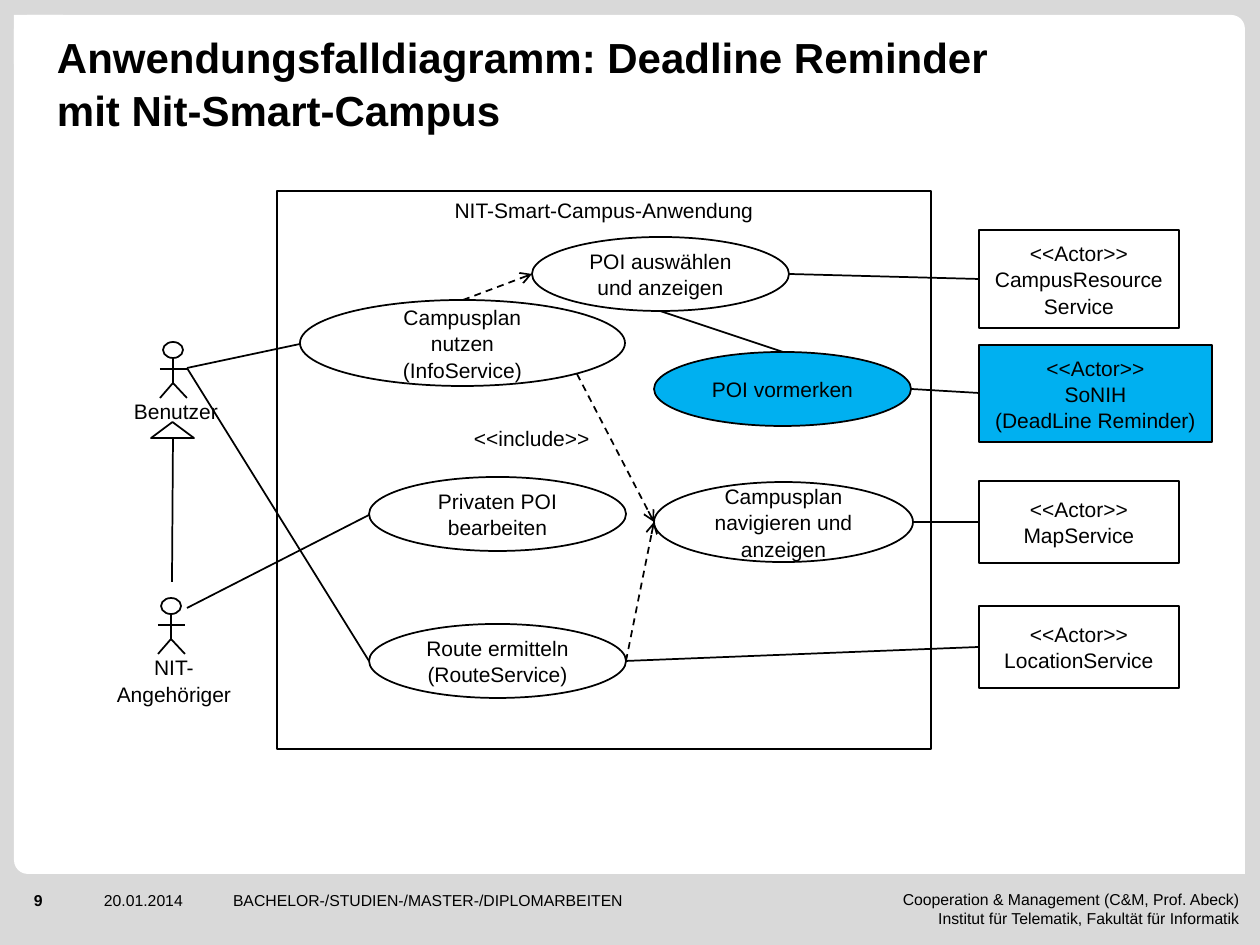
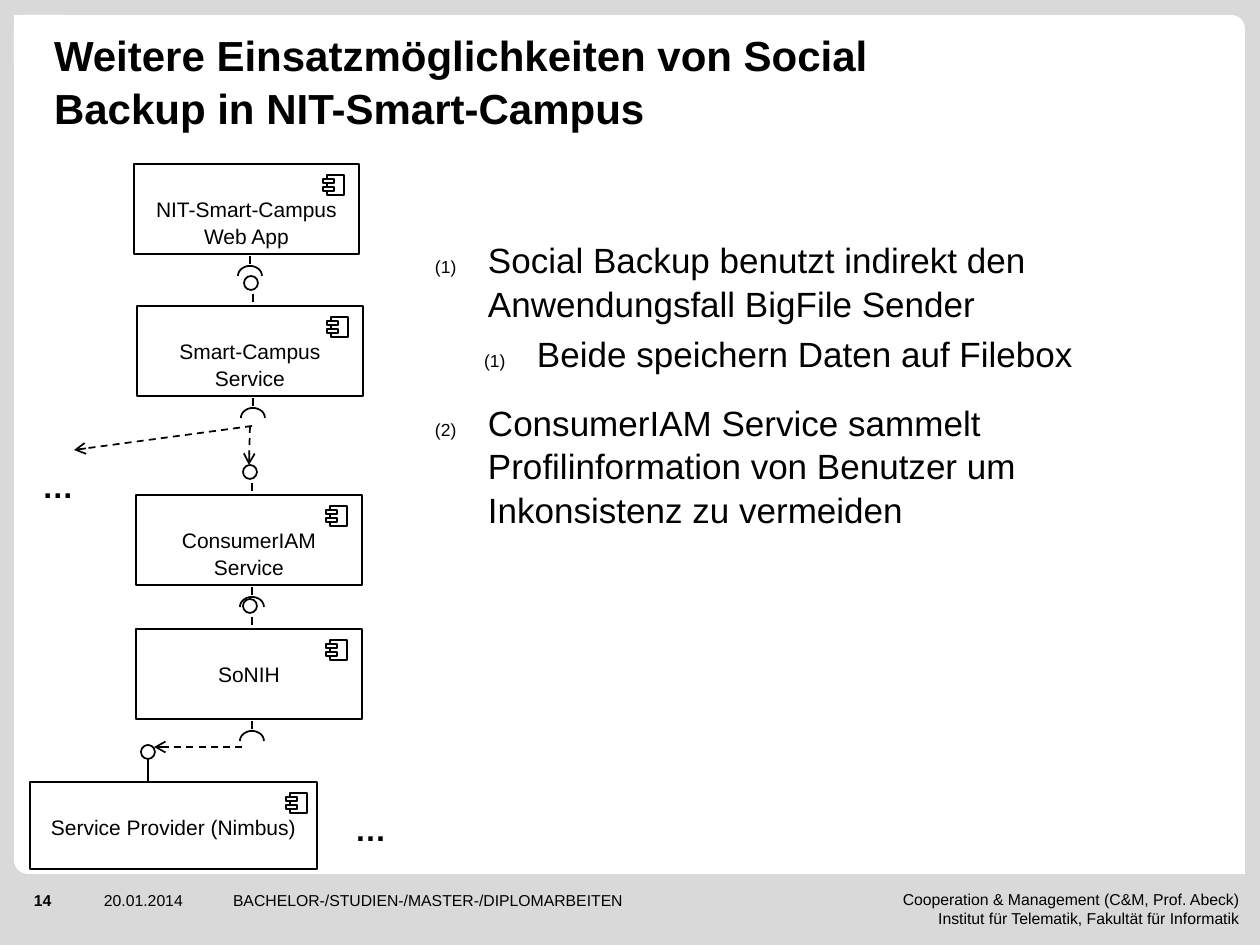
from dataclasses import dataclass
from math import cos, pi, sin
from typing import Any, NamedTuple, Optional

from lxml.etree import SubElement
from pptx import Presentation
from pptx.dml.color import RGBColor
from pptx.enum.dml import MSO_LINE
from pptx.enum.shapes import MSO_CONNECTOR, MSO_SHAPE
from pptx.enum.text import MSO_ANCHOR, MSO_AUTO_SIZE, PP_ALIGN
from pptx.oxml.ns import qn
from pptx.util import Emu, Pt

EMU_PER_PX = 914400 / 126


@dataclass(frozen=True)
class Theme:
    font: str = "Arial"
    black: RGBColor = RGBColor(0, 0, 0)
    white: RGBColor = RGBColor(255, 255, 255)
    band: RGBColor = RGBColor(0xD9, 0xD9, 0xD9)
    accent: RGBColor = RGBColor(0x00, 0xB0, 0xF0)
    title: int = 24
    body: int = 20
    ellipsis: int = 18
    diagram: int = 12
    footer: int = 9
    line_width: int = 1
    line_spacing: float = 1.04


THEME = Theme()


class Area(NamedTuple):
    x: int
    y: int
    w: int
    h: int


class Node(NamedTuple):
    area: Area
    lines: list[str]
    fill: Optional[RGBColor] = THEME.white


class Link(NamedTuple):
    x1: int
    y1: int
    x2: int
    y2: int
    dashed_arrow: bool = False


class Actor(NamedTuple):
    x: int
    y: int
    lines: list[str]


class Component(NamedTuple):
    area: Area
    lines: list[str]
    ball: bool = False
    socket: bool = False
    icon_from_right: int = 32


class Bullet(NamedTuple):
    text: str
    level: int
    indent: int
    space_before: int


SYSTEM_FRAME = Node(Area(277, 191, 654, 558), ["NIT-Smart-Campus-Anwendung"], None)
USE_CASES = [
    Node(Area(300, 300, 325, 86), ["Campusplan", "nutzen", "(InfoService)"]),
    Node(Area(369, 624, 257, 74), ["Route ermitteln", "(RouteService)"]),
    Node(Area(654, 482, 259, 80), ["Campusplan", "navigieren und anzeigen"]),
    Node(Area(369, 477, 257, 74), ["Privaten POI", "bearbeiten"]),
    Node(Area(532, 237, 257, 74), ["POI auswählen", "und anzeigen"]),
    Node(Area(654, 352, 257, 74), ["POI vormerken"], THEME.accent),
]
SERVICES = [
    Node(Area(979, 230, 200, 98), ["<<Actor>>", "CampusResource", "Service"], None),
    Node(Area(979, 345, 233, 97), ["<<Actor>>", "SoNIH", "(DeadLine Reminder)"], THEME.accent),
    Node(Area(979, 481, 200, 82), ["<<Actor>>", "MapService"], None),
    Node(Area(979, 606, 200, 82), ["<<Actor>>", "LocationService"], None),
]
ACTORS = [Actor(173, 342, ["Benutzer"]), Actor(171, 598, ["NIT-", "Angehöriger"])]
USE_CASE_LINKS = [
    Link(187, 368, 300, 344), Link(187, 368, 369, 661), Link(187, 608, 369, 515),
    Link(173, 438, 172, 582), Link(913, 522, 979, 522), Link(626, 661, 979, 647),
    Link(979, 279, 789, 274), Link(783, 352, 660, 311), Link(979, 393, 911, 389),
    Link(626, 661, 654, 522, True), Link(577, 374, 654, 522, True),
    Link(463, 300, 532, 274, True),
]

COMPONENTS = [
    Component(Area(134, 164, 225, 90), ["NIT-Smart-Campus", "Web App"], socket=True),
    Component(Area(137, 306, 226, 90), ["Smart-Campus", "Service"], True, True),
    Component(Area(136, 495, 226, 90), ["ConsumerIAM", "Service"], True, True),
    Component(Area(136, 629, 226, 90), ["SoNIH"], True, True),
    Component(Area(30, 782, 287, 87), ["Service Provider (Nimbus)"], icon_from_right=27),
]
COMPONENT_LINKS = [
    Link(148, 759, 148, 782), Link(242, 747, 154, 747, True),
    Link(252, 426, 74, 450, True), Link(250, 426, 249, 465, True),
]
BULLETS = [
    Bullet("Social Backup benutzt indirekt den Anwendungsfall BigFile Sender", 0, 53, 0),
    Bullet("Beide speichern Daten auf Filebox", 1, 102, 4),
    Bullet("ConsumerIAM Service sammelt Profilinformation von Benutzer um "
           "Inkonsistenz zu vermeiden", 0, 53, 14),
]


def px(length: float) -> Emu:
    return Emu(round(length * EMU_PER_PX))


def apply(target: Any, values: dict[str, Any]) -> None:
    for name, value in values.items():
        setattr(target, name, value)


def place(shape: Any, area: Area) -> None:
    apply(shape, dict(zip(("left", "top", "width", "height"), map(px, area))))


def write(shape: Any, lines: list[str], size: int, bold: bool = False,
          align: PP_ALIGN = PP_ALIGN.LEFT, anchor: MSO_ANCHOR = MSO_ANCHOR.TOP,
          wrap: bool = True, insets: tuple[int, int, int, int] = (0, 0, 0, 0),
          spacing: float = THEME.line_spacing) -> None:
    """Fill a shape with one paragraph per line; insets are left, top, right, bottom."""
    frame = shape.text_frame
    sides = ("margin_left", "margin_top", "margin_right", "margin_bottom")
    apply(frame, {"auto_size": MSO_AUTO_SIZE.NONE, "word_wrap": wrap,
                  "vertical_anchor": anchor, **dict(zip(sides, map(px, insets)))})
    for index, line in enumerate(lines):
        para = frame.add_paragraph() if index else frame.paragraphs[0]
        apply(para, {"alignment": align, "line_spacing": spacing})
        span = para.add_run()
        span.text = line
        apply(span.font, {"name": THEME.font, "size": Pt(size), "bold": bold})
        span.font.color.rgb = THEME.black


def add_text(page: Any, area: Area, lines: list[str], size: int, **options: Any) -> None:
    write(page.shapes.add_textbox(*map(px, area)), lines, size, **options)


def paint(shape: Any, fill: Optional[RGBColor], outlined: bool = True) -> None:
    shape.shadow.inherit = False
    if fill is None:
        shape.fill.background()
    else:
        shape.fill.solid()
        shape.fill.fore_color.rgb = fill
    if outlined:
        shape.line.color.rgb = THEME.black
        shape.line.width = Pt(THEME.line_width)
    else:
        shape.line.fill.background()


def add_box(page: Any, kind: MSO_SHAPE, area: Area,
            fill: Optional[RGBColor] = THEME.white, outlined: bool = True) -> Any:
    box = page.shapes.add_shape(kind, *map(px, area))
    paint(box, fill, outlined)
    return box


def add_node(page: Any, kind: MSO_SHAPE, node: Node,
             anchor: MSO_ANCHOR = MSO_ANCHOR.MIDDLE, wrap: bool = True) -> None:
    write(add_box(page, kind, node.area, node.fill), node.lines, THEME.diagram,
          align=PP_ALIGN.CENTER, anchor=anchor, wrap=wrap, insets=(12, 6, 12, 6))


def add_link(page: Any, link: Link) -> None:
    connector = page.shapes.add_connector(MSO_CONNECTOR.STRAIGHT, *map(px, link[:4]))
    connector.line.color.rgb = THEME.black
    connector.line.width = Pt(THEME.line_width)
    properties = connector.element.spPr
    if link.dashed_arrow:
        connector.line.dash_style = MSO_LINE.DASH
        SubElement(properties.find(qn("a:ln")), qn("a:tailEnd"), type="arrow")
    SubElement(properties, qn("a:effectLst"))


def add_actor(page: Any, actor: Actor) -> None:
    x, y = actor.x, actor.y
    hip, foot, arm = y + 41, y + 56, y + 27
    for limb in (Link(x, y + 16, x, hip), Link(x, hip, x + 14, foot),
                 Link(x, hip, x - 13, foot), Link(x - 13, arm, x + 14, arm)):
        add_link(page, limb)
    add_box(page, MSO_SHAPE.OVAL, Area(x - 10, y, 20, 16))
    add_text(page, Area(x - 67, y + 50, 140, 26 * len(actor.lines) + 12), actor.lines,
             THEME.diagram, align=PP_ALIGN.CENTER, wrap=False, insets=(12, 6, 12, 6))


def add_ball(page: Any, x: int, y: int) -> None:
    add_box(page, MSO_SHAPE.OVAL, Area(x, y, 14, 14))


def add_socket(page: Any, x: int, y: int) -> None:
    """Draw a half ring that opens downwards, with its apex at x, y."""
    steps, half_width, height = 16, 12, 10
    angles = [pi * (1 - step / steps) for step in range(steps + 1)]
    points = [(px(x + half_width * cos(a)), px(y + height * (1 - sin(a)))) for a in angles]
    builder = page.shapes.build_freeform(*points[0])
    builder.add_line_segments(points[1:], close=False)
    paint(builder.convert_to_shape(), None)


def add_component(page: Any, part: Component) -> None:
    x, y, w, h = part.area
    write(add_box(page, MSO_SHAPE.RECTANGLE, part.area, None), part.lines, THEME.diagram,
          align=PP_ALIGN.CENTER, wrap=False, insets=(12, 32, 12, 6))
    icon = x + w - part.icon_from_right
    add_box(page, MSO_SHAPE.RECTANGLE, Area(icon, y + 11, 17, 20))
    for tooth in (23, 15):
        add_box(page, MSO_SHAPE.RECTANGLE, Area(icon - 4, y + tooth, 11, 4))
    port, bottom = x + 116, y + h
    if part.socket:
        add_link(page, Link(port, bottom + 10, port, bottom + 2))
        add_socket(page, port, bottom + 12)
    if part.ball:
        add_ball(page, port - 9, y - 30)
        add_link(page, Link(port, y - 12, port, y - 4))


def add_page(deck: Any, layout: int, number: int, title: str, title_area: Area) -> Any:
    """Start a slide with the white card, the title and the footer line."""
    page = deck.slides.add_slide(deck.slide_layouts[layout])
    heading = page.shapes.title
    card = add_box(page, MSO_SHAPE.ROUNDED_RECTANGLE, Area(14, 15, 1231, 859), outlined=False)
    card.adjustments[0] = 0.016
    corners = [add_box(page, MSO_SHAPE.RECTANGLE, Area(x, y, 49, 49), outlined=False)
               for x, y in ((14, 15), (1196, 825))]
    for part in (card, *corners):
        heading.element.addprevious(part.element)
    place(heading, title_area)
    write(heading, [title], THEME.title, bold=True, anchor=MSO_ANCHOR.MIDDLE)
    add_text(page, Area(828, 890, 411, 49),
             ["Cooperation & Management (C&M, Prof. Abeck)",
              "Institut für Telematik, Fakultät für Informatik"],
             THEME.footer, align=PP_ALIGN.RIGHT, spacing=1.0)
    add_text(page, Area(34, 890, 45, 30), [str(number)], THEME.footer, bold=True)
    add_text(page, Area(104, 890, 112, 30), ["20.01.2014"], THEME.footer)
    add_text(page, Area(233, 890, 576, 49),
             ["BACHELOR-/STUDIEN-/MASTER-/DIPLOMARBEITEN"], THEME.footer)
    return page


def number_bullet(para: Any, bullet: Bullet) -> None:
    apply(para, {"level": bullet.level, "space_before": Pt(bullet.space_before)})
    properties = para._p.get_or_add_pPr()
    apply_margins = {"marL": px(bullet.indent), "indent": px(-53)}
    for name, value in apply_margins.items():
        properties.set(name, str(value))
    color = SubElement(properties, qn("a:buClr"))
    SubElement(color, qn("a:srgbClr"), val=str(THEME.black))
    SubElement(properties, qn("a:buSzPct"), val="50000")
    SubElement(properties, qn("a:buFont"), typeface=THEME.font)
    SubElement(properties, qn("a:buAutoNum"), type="arabicParenBoth")


def build_use_case_page(deck: Any) -> None:
    page = add_page(deck, 5, 9, "Anwendungsfalldiagramm: Deadline Reminder "
                    "mit Nit-Smart-Campus", Area(57, 31, 953, 102))
    add_node(page, MSO_SHAPE.RECTANGLE, SYSTEM_FRAME, MSO_ANCHOR.TOP, wrap=False)
    for use_case in USE_CASES:
        add_node(page, MSO_SHAPE.OVAL, use_case)
    for service in SERVICES:
        add_node(page, MSO_SHAPE.RECTANGLE, service)
    for actor in ACTORS:
        add_actor(page, actor)
    add_box(page, MSO_SHAPE.ISOSCELES_TRIANGLE, Area(151, 422, 43, 16), None)
    for link in USE_CASE_LINKS:
        add_link(page, link)
    add_text(page, Area(462, 419, 141, 38), ["<<include>>"], THEME.diagram,
             wrap=False, insets=(12, 6, 12, 6))


def build_component_page(deck: Any) -> None:
    page = add_page(deck, 1, 14, "Weitere Einsatzmöglichkeiten von Social Backup "
                    "in NIT-Smart-Campus", Area(54, 29, 953, 102))
    body = page.placeholders[1]
    place(body, Area(435, 237, 687, 339))
    write(body, [bullet.text for bullet in BULLETS], THEME.body)
    for para, bullet in zip(body.text_frame.paragraphs, BULLETS):
        number_bullet(para, bullet)
    for component in COMPONENTS:
        add_component(page, component)
    add_ball(page, 141, 745)
    for link in COMPONENT_LINKS:
        add_link(page, link)
    for x, y in ((343, 803), (30, 460)):
        add_text(page, Area(x, y, 57, 50), ["…"], THEME.ellipsis, bold=True,
                 insets=(12, 6, 12, 6))


def main() -> None:
    deck = Presentation()
    apply(deck, {"slide_width": px(1260), "slide_height": px(945)})
    background = deck.slide_master.background.fill
    background.solid()
    background.fore_color.rgb = THEME.band
    build_use_case_page(deck)
    build_component_page(deck)
    deck.save("out.pptx")


if __name__ == "__main__":
    main()
